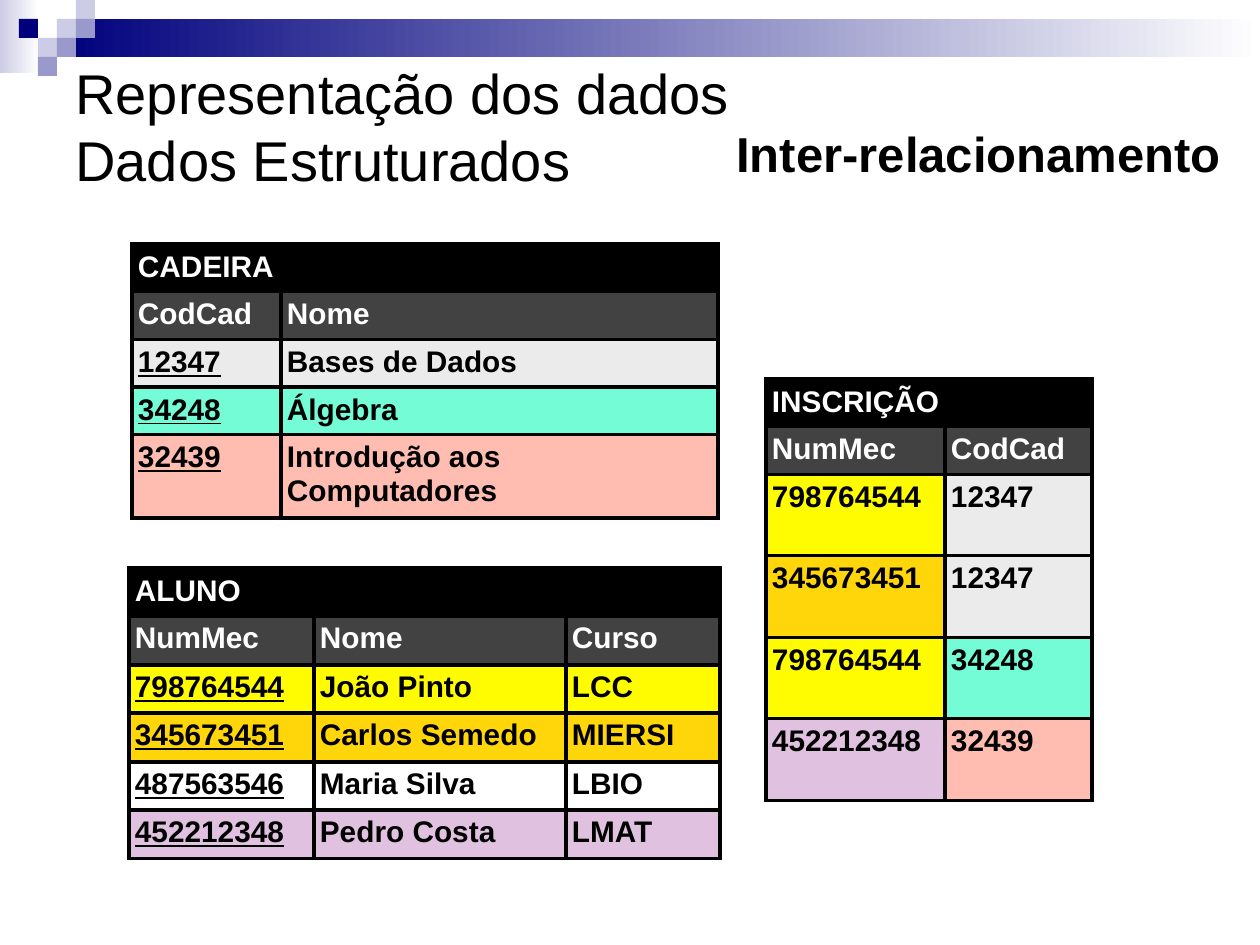
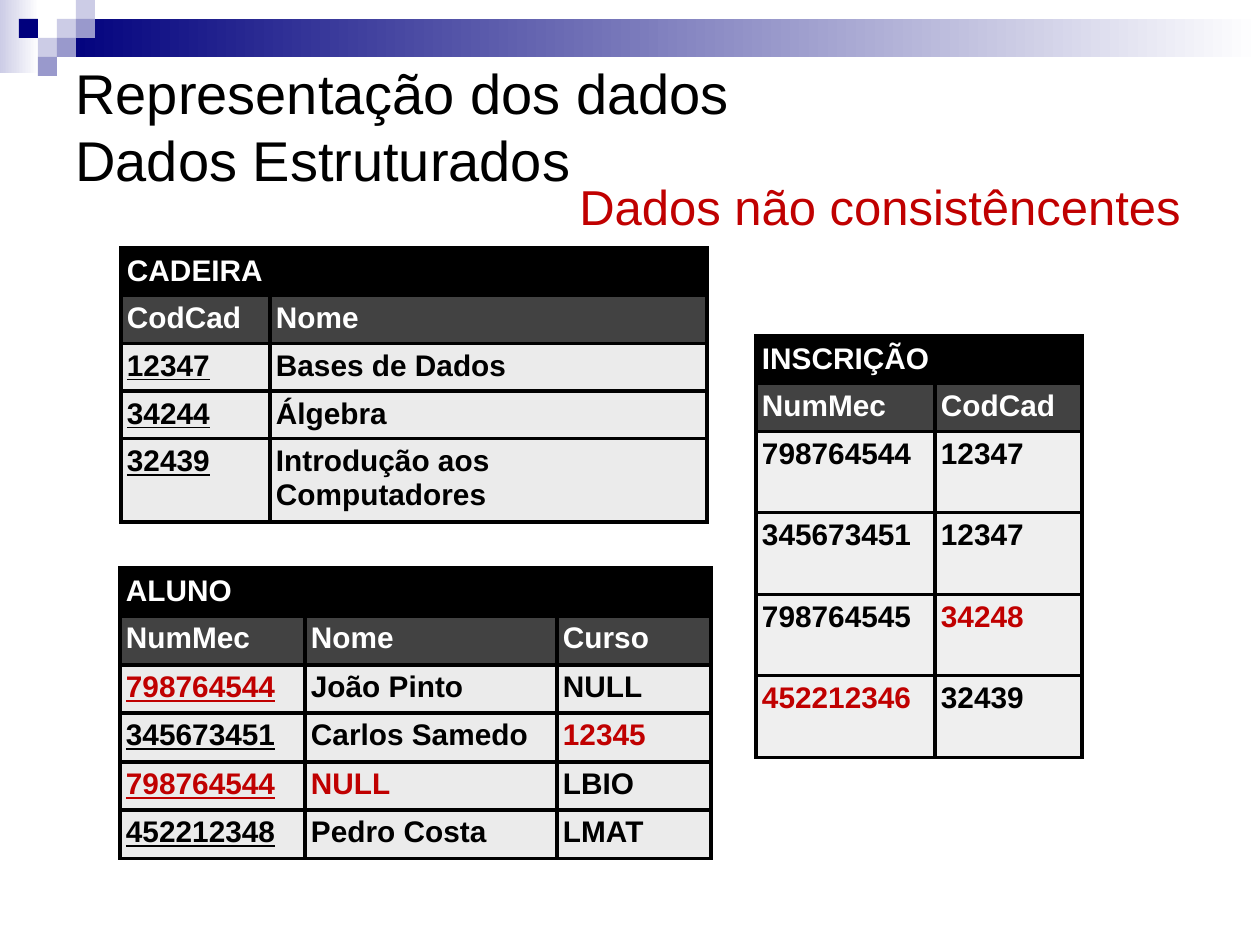
import dataclasses
import itertools
import typing

import lxml.etree
import pptx
import pptx.dml.color
import pptx.enum.shapes
import pptx.enum.text
import pptx.oxml.ns
import pptx.util

EMU_PER_PX = 914400 / 126


class Box(typing.NamedTuple):
    """A rectangle in px."""
    left: int
    top: int
    width: int
    height: int


class Tint(typing.NamedTuple):
    """A fill colour with its opacity in percent."""
    color: str
    opacity: int = 100


@dataclasses.dataclass(frozen=True)
class Theme:
    """Colours and type sizes shared by the deck."""
    font: str = "Arial"
    title_size: int = 32
    subtitle_size: int = 28
    table_size: int = 17
    row_gap: int = 4
    border: float = 2.25
    black: str = "000000"
    white: str = "FFFFFF"
    red: str = "C00000"
    navy: str = "00007D"
    lilac: str = "9999CC"
    pale: str = "CCCCE6"
    header: Tint = Tint("424242")
    plain: Tint = Tint("FFFFFF")
    gray: Tint = Tint("EBEBEB")
    yellow: Tint = Tint("FFFB00")
    amber: Tint = Tint("FFD60A")
    mint: Tint = Tint("73FCD6")
    purple: Tint = Tint("942192", 28)
    coral: Tint = Tint("FF2600", 30)
    mist: Tint = Tint("D9D9D9", 51)
    light_mist: Tint = Tint("D9D9D9", 40)


THEME = Theme()


@dataclasses.dataclass(frozen=True)
class Relation:
    """A named table with its columns, px sizes and key marking."""
    name: str
    fields: tuple
    widths: tuple
    heights: tuple
    keyed: bool = True


CADEIRA = Relation("CADEIRA", ("CodCad", "Nome"), (149, 437), (47, 47, 47, 47, 79))
ALUNO = Relation("ALUNO", ("NumMec", "Nome", "Curso"), (185, 252, 154), (48, 49) * 3)
INSCRICAO = Relation("INSCRIÇÃO", ("NumMec", "CodCad"), (179, 147),
                     (47, 47, 81, 82, 81, 82), keyed=False)


def px(length):
    """Turn px into EMU."""
    return pptx.util.Emu(round(length * EMU_PER_PX))


def rgb(color):
    """Turn a hex string into a colour."""
    return pptx.dml.color.RGBColor.from_string(color)


def apply_format(target, values):
    """Set every attribute in values on target."""
    for name, value in values.items():
        setattr(target, name, value)


def write_lines(para, lines, size, color, **font_values):
    """Write lines into one paragraph, parted by line breaks."""
    for index, line in enumerate(lines):
        if index:
            para.add_line_break()
        span = para.add_run()
        span.text = line
        apply_format(span.font, {"name": THEME.font, "size": pptx.util.Pt(size), **font_values})
        span.font.color.rgb = rgb(color)


def add_heading(page, box, lines, size, color, bold=False):
    """Add a vertically centred heading that fills the box."""
    frame = page.shapes.add_textbox(*map(px, box)).text_frame
    apply_format(frame, {"word_wrap": True,
                         "vertical_anchor": pptx.enum.text.MSO_ANCHOR.MIDDLE})
    write_lines(frame.paragraphs[0], lines, size, color, bold=bold)


def add_block(page, box, color, fade_to=None):
    """Add a borderless rectangle, plain or fading to the right."""
    block = page.shapes.add_shape(pptx.enum.shapes.MSO_SHAPE.RECTANGLE, *map(px, box))
    block.shadow.inherit = False
    block.line.fill.background()
    if fade_to:
        block.fill.gradient()
        block.fill.gradient_angle = 0
        for stop, stop_color in zip(block.fill.gradient_stops, (color, fade_to)):
            stop.color.rgb = rgb(stop_color)
    else:
        block.fill.solid()
        block.fill.fore_color.rgb = rgb(color)


def add_top_band(page, box, step=19):
    """Add the fading band and its mosaic of squares on a grid of step px."""
    left, top, width, height = box
    add_block(page, Box(left, top, 39, height), THEME.pale, THEME.white)
    add_block(page, Box(left + 3 * step, top + step, width - 3 * step, 2 * step),
              THEME.navy, THEME.white)
    mosaic = ((3, 1, THEME.pale), (4, 0, THEME.pale), (4, 1, THEME.lilac),
              (2, 2, THEME.pale), (1, 1, THEME.navy), (3, 2, THEME.lilac),
              (2, 3, THEME.lilac))
    for column, row, color in mosaic:
        add_block(page, Box(left + column * step, top + row * step, step, step), color)


def style_cell(cell, tint):
    """Give a cell its fill, margins and black borders."""
    sides = ("left", "right", "top", "bottom")
    apply_format(cell, {f"margin_{side}": px(6) for side in sides})
    cell.fill.solid()
    cell.fill.fore_color.rgb = rgb(tint.color)
    qn = pptx.oxml.ns.qn
    properties = cell._tc.get_or_add_tcPr()
    if tint.opacity < 100:
        color = properties.find(f".//{qn('a:srgbClr')}")
        lxml.etree.SubElement(color, qn("a:alpha"), val=str(tint.opacity * 1000))
    for index, side in enumerate("LRTB"):
        line = lxml.etree.Element(qn(f"a:ln{side}"), w=str(pptx.util.Pt(THEME.border)))
        fill = lxml.etree.SubElement(line, qn("a:solidFill"))
        lxml.etree.SubElement(fill, qn("a:srgbClr"), val=THEME.black)
        properties.insert(index, line)


def add_relation(page, left, top, relation, records, errors=()):
    """Add a relation's table; errors lists the (record, field) pairs in red."""
    box = Box(left, top, sum(relation.widths), sum(relation.heights))
    table = page.shapes.add_table(len(relation.heights), len(relation.widths),
                                  *map(px, box)).table
    apply_format(table, {"first_row": False, "horz_banding": False})
    for column, width in zip(table.columns, relation.widths):
        column.width = px(width)
    for row, height in zip(table.rows, relation.heights):
        row.height = px(height)
    table.cell(0, 0).merge(table.cell(0, len(relation.widths) - 1))
    title = (relation.name,) + ("",) * (len(relation.fields) - 1)
    rows = [(title, (Tint(THEME.black),)), (relation.fields, (THEME.header,)), *records]
    for row, (texts, tints) in enumerate(rows):
        for field, (text, tint) in enumerate(zip(texts, itertools.cycle(tints))):
            cell = table.cell(row, field)
            style_cell(cell, tint)
            if not text:
                continue
            color = THEME.white if row < 2 else THEME.black
            if (row - 2, field) in errors:
                color = THEME.red
            para = cell.text_frame.paragraphs[0]
            para.space_before = pptx.util.Pt(THEME.row_gap)
            underline = relation.keyed and row >= 2 and field == 0
            write_lines(para, [text], THEME.table_size, color, bold=True, underline=underline)


def add_page(deck):
    """Add a blank page with the shared band and title."""
    page = deck.slides.add_slide(deck.slide_layouts[6])
    add_top_band(page, Box(0, 0, 1260, 73))
    add_heading(page, Box(63, 63, 1134, 126),
                ["Representação dos dados", "Dados Estruturados"],
                THEME.title_size, THEME.black)
    return page


def add_relationship_page(deck):
    """Add the page whose colours link matching records."""
    page = add_page(deck)
    add_heading(page, Box(724, 97, 536, 111), ["Inter-relacionamento"],
                THEME.subtitle_size, THEME.black, bold=True)
    add_relation(page, 129, 568, ALUNO, [
        (("798764544", "João Pinto", "LCC"), (THEME.yellow,)),
        (("345673451", "Carlos Semedo", "MIERSI"), (THEME.amber,)),
        (("487563546", "Maria Silva", "LBIO"), (THEME.plain,)),
        (("452212348", "Pedro Costa", "LMAT"), (THEME.purple,)),
    ])
    add_relation(page, 766, 379, INSCRICAO, [
        (("798764544", "12347"), (THEME.yellow, THEME.gray)),
        (("345673451", "12347"), (THEME.amber, THEME.gray)),
        (("798764544", "34248"), (THEME.yellow, THEME.mint)),
        (("452212348", "32439"), (THEME.purple, THEME.coral)),
    ])
    add_relation(page, 132, 244, CADEIRA, [
        (("12347", "Bases de Dados"), (THEME.gray,)),
        (("34248", "Álgebra"), (THEME.mint,)),
        (("32439", "Introdução aos Computadores"), (THEME.coral,)),
    ])


def add_inconsistency_page(deck):
    """Add the page that marks inconsistent values in red."""
    page = add_page(deck)
    add_heading(page, Box(567, 150, 693, 111), ["Dados não consistêncentes"],
                THEME.subtitle_size, THEME.red)
    add_relation(page, 120, 568, ALUNO, [
        (("798764544", "João Pinto", "NULL"), (THEME.mist,)),
        (("345673451", "Carlos Samedo", "12345"), (THEME.mist,)),
        (("798764544", "NULL", "LBIO"), (THEME.mist,)),
        (("452212348", "Pedro Costa", "LMAT"), (THEME.mist,)),
    ], errors={(0, 0), (1, 2), (2, 0), (2, 1)})
    add_relation(page, 756, 336, INSCRICAO, [
        (("798764544", "12347"), (THEME.light_mist,)),
        (("345673451", "12347"), (THEME.light_mist,)),
        (("798764545", "34248"), (THEME.light_mist,)),
        (("452212346", "32439"), (THEME.light_mist,)),
    ], errors={(2, 1), (3, 0)})
    add_relation(page, 121, 248, CADEIRA, [
        (("12347", "Bases de Dados"), (THEME.mist,)),
        (("34244", "Álgebra"), (THEME.mist,)),
        (("32439", "Introdução aos Computadores"), (THEME.mist,)),
    ])


def main():
    """Build and save the deck."""
    deck = pptx.Presentation()
    apply_format(deck, {"slide_width": px(1260), "slide_height": px(945)})
    add_relationship_page(deck)
    add_inconsistency_page(deck)
    deck.save("out.pptx")


if __name__ == "__main__":
    main()
